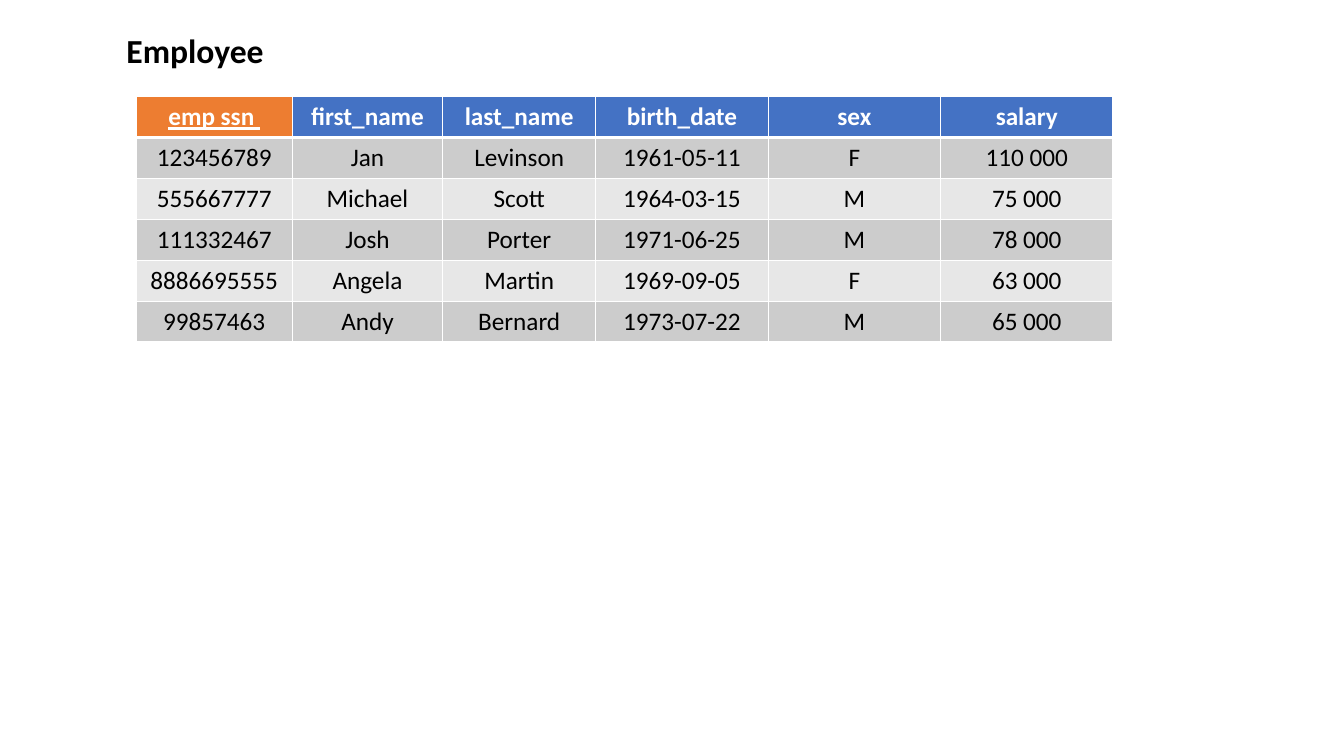
from dataclasses import dataclass

from lxml.etree import SubElement
from pptx import Presentation
from pptx.dml.color import RGBColor
from pptx.enum.text import MSO_ANCHOR, PP_ALIGN
from pptx.oxml.ns import qn
from pptx.slide import Slide
from pptx.table import _Cell
from pptx.text.text import TextFrame
from pptx.util import Inches, Pt

FONT = "Calibri"
WHITE, BLACK = "FFFFFF", "000000"
BLUE, ORANGE = "4472C4", "ED7D31"
BANDS = ("CCCCCC", "E7E7E7")
WIDTHS = (1.55, 1.49, 1.52, 1.71, 1.71, 1.71)
HEIGHT = 0.405
ROWS = (
    ("emp ssn ", "first_name", "last_name", "birth_date", "sex", "salary"),
    ("123456789", "Jan", "Levinson", "1961-05-11", "F", "110 000"),
    ("555667777", "Michael", "Scott", "1964-03-15", "M", "75 000"),
    ("111332467", "Josh", "Porter", "1971-06-25", "M", "78 000"),
    ("8886695555", "Angela", "Martin", "1969-09-05", "F", "63 000"),
    ("99857463", "Andy", "Bernard", "1973-07-22", "M", "65 000"),
)


@dataclass(frozen=True)
class Style:
    """Look of a piece of text."""
    size: int
    color: str
    bold: bool = False
    under: bool = False


TITLE = Style(24, BLACK, bold=True)
HEAD = Style(18, WHITE, bold=True)
KEY = Style(18, WHITE, bold=True, under=True)
BODY = Style(18, BLACK)


def paint(value: str) -> RGBColor:
    """Turn a hex string into a colour."""
    return RGBColor.from_string(value)


def write(frame: TextFrame, text: str, style: Style) -> None:
    """Write one centred run into a text frame."""
    para = frame.paragraphs[0]
    para.alignment = PP_ALIGN.CENTER
    run = para.add_run()
    run.text = text
    font = run.font
    font.name, font.size = FONT, Pt(style.size)
    font.bold, font.underline = style.bold, style.under
    font.color.rgb = paint(style.color)


def border(cell: _Cell, top: int, bottom: int) -> None:
    """Draw white cell borders, with widths in points."""
    props = cell._tc.get_or_add_tcPr()
    for side, width in (("L", 1), ("R", 1), ("T", top), ("B", bottom)):
        line = SubElement(props, qn(f"a:ln{side}"), w=str(Pt(width)))
        fill = SubElement(line, qn("a:solidFill"))
        SubElement(fill, qn("a:srgbClr"), val=WHITE)


def look(row: int, col: int) -> tuple[Style, str]:
    """Choose the text style and fill of a cell."""
    if row:
        return BODY, BANDS[(row - 1) % 2]
    return (HEAD, BLUE) if col else (KEY, ORANGE)


def add_title(slide: Slide, text: str) -> None:
    """Place and format the slide title."""
    title = slide.shapes.title
    title.left, title.top = Inches(0.39), Inches(0.29)
    title.width, title.height = Inches(3.09), Inches(0.47)
    frame = title.text_frame
    frame.vertical_anchor = MSO_ANCHOR.TOP
    write(frame, text, TITLE)
    para = frame.paragraphs[0]
    para.line_spacing, para.space_before = 0.9, Pt(10)


def add_grid(slide: Slide) -> None:
    """Add the employee table."""
    table = slide.shapes.add_table(
        len(ROWS), len(WIDTHS), Inches(1.35), Inches(0.96),
        Inches(sum(WIDTHS)), Inches(HEIGHT * len(ROWS))).table
    for column, width in zip(table.columns, WIDTHS):
        column.width = Inches(width)
    for row, texts in enumerate(ROWS):
        for col, text in enumerate(texts):
            cell = table.cell(row, col)
            style, fill = look(row, col)
            border(cell, 3 if row == 1 else 1, 3 if row == 0 else 1)
            cell.fill.solid()
            cell.fill.fore_color.rgb = paint(fill)
            write(cell.text_frame, text, style)


def main() -> None:
    """Build and save the slide."""
    deck = Presentation()
    deck.slide_width, deck.slide_height = Inches(13.33), Inches(7.5)
    slide = deck.slides.add_slide(deck.slide_layouts.get_by_name("Title Only"))
    add_title(slide, "Employee")
    add_grid(slide)
    deck.save("out.pptx")


main()
